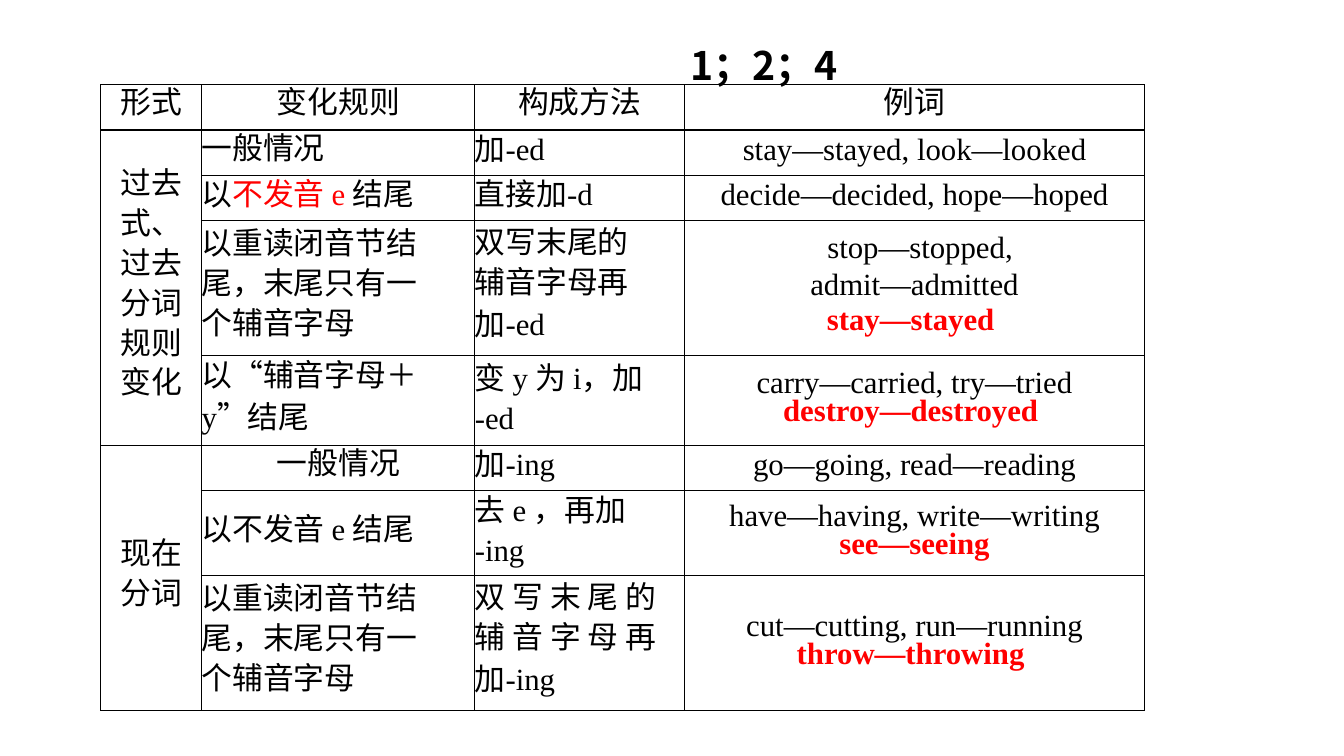
from lxml import etree
from pptx import Presentation
from pptx.dml.color import RGBColor
from pptx.enum.text import MSO_ANCHOR, MSO_AUTO_SIZE, PP_ALIGN
from pptx.oxml.ns import qn
from pptx.util import Inches, Pt

LEFT, CENTER = PP_ALIGN.LEFT, PP_ALIGN.CENTER
MIDDLE = MSO_ANCHOR.MIDDLE
GROW = MSO_AUTO_SIZE.SHAPE_TO_FIT_TEXT
BLACK, RED = RGBColor(0, 0, 0), RGBColor(255, 0, 0)
LATIN, CHINESE, TAB_FONT = "Times New Roman", "Noto Sans CJK SC", "Arial"

TITLE = "1；2；4"
COLUMN_WIDTHS = [1, 2.71, 2.08, 4.56]
ROW_HEIGHTS = [0.45, 0.45, 0.45, 1.34, 0.89, 0.45, 0.84, 1.34]
FORM, RULE, METHOD, EXAMPLE = range(4)
TAB_STOP = 0.11
STRESSED = [("以重读闭音节结", 22), ("尾，末尾只有一", 28.5), ("个辅音字母", 28.5)]

# Each cell is a list of (line, line spacing in points); |bars| enclose red text.
ROWS = [
    [[("形式", 22)], [("变化规则", 22)], [("构成方法", 22)], [("例词", 22)]],
    [[("过去", 22), ("式、", 28.5), ("过去", 28.5), ("分词", 28.5),
      ("规则", 28.5), ("变化", 28.5)],
     [("一般情况", 22)], [("加-ed", 23.8)],
     [("stay—stayed, look—looked", 20)]],
    [None, [("以|不发音 e |结尾", 23.6)], [("直接加-d", 23.6)],
     [("decide—decided, hope—hoped", 20)]],
    [None, STRESSED,
     [("双写末尾的", 22), ("辅音字母再", 28.5), ("加-ed", 30.4)],
     [("\tstop—stopped,", 20), ("admit—admitted", 25.2),
      ("|stay—stayed |", 25.2)]],
    [None, [("以“辅音字母＋", 22), ("y”结尾", 30.2)],
     [("变 y 为 i，加", 23.6), ("-ed", 26.9)],
     [("carry—carried, try—tried", 20), ("|destroy—destroyed |", 20)]],
    [[("现在", 22), ("分词", 28.5)], [("一般情况", 22)],
     [("加-ing", 23.6)], [("go—going, read—reading", 20)]],
    [None, [("以不发音 e 结尾", 23.6)],
     [("去 e ，再加", 23.6), ("-ing", 26.9)],
     [("have—having, write—writing", 20), ("|see—seeing|", 20)]],
    [None, STRESSED,
     [("双 写 末 尾 的", 22), ("辅 音 字 母 再", 28.5), ("加-ing", 30.2)],
     [("cut—cutting, run—running", 20), ("|throw—throwing |", 20)]],
]
FORM_SPANS = [(1, 4), (5, 7)]
CENTERED_RULES = [0, 5]


def add_span(para, text, size=22, font=LATIN, color=BLACK, bold=False):
    """Add one formatted run to a paragraph."""
    span = para.add_run()
    span.text = text
    span.font.size, span.font.name, span.font.bold = Pt(size), font, bold
    span.font.color.rgb = color
    east_asian = etree.SubElement(span.font._element, qn("a:ea"))
    east_asian.set("typeface", CHINESE)


def add_tab(para):
    """Start a paragraph with a tab and its tab stop."""
    stops = etree.SubElement(para._p.get_or_add_pPr(), qn("a:tabLst"))
    etree.SubElement(stops, qn("a:tab"), pos=str(Inches(TAB_STOP)), algn="l")
    add_span(para, "\t", 28, TAB_FONT)


def set_borders(cell):
    """Give a cell black one-point lines on all four sides."""
    properties = cell._tc.get_or_add_tcPr()
    for side in ("lnL", "lnR", "lnT", "lnB"):
        line = etree.SubElement(properties, qn("a:" + side), w=str(Pt(1)))
        fill = etree.SubElement(line, qn("a:solidFill"))
        etree.SubElement(fill, qn("a:srgbClr"), val=str(BLACK))


def fill_cell(cell, lines, column, align):
    """Write the lines of a cell, one paragraph each."""
    frame = cell.text_frame
    for index, (text, spacing) in enumerate(lines):
        para = frame.add_paragraph() if index else frame.paragraphs[0]
        para.alignment, para.line_spacing = align, Pt(spacing)
        if text.startswith("\t"):
            add_tab(para)
        for part, piece in enumerate(text.strip("\t").split("|")):
            red = part % 2 == 1
            if piece:
                add_span(para, piece, color=RED if red else BLACK,
                         bold=red and column == EXAMPLE)


def add_verb_table(page):
    """Draw the table of verb forms."""
    table = page.shapes.add_table(
        len(ROWS), len(COLUMN_WIDTHS), Inches(1), Inches(0.84),
        Inches(sum(COLUMN_WIDTHS)), Inches(sum(ROW_HEIGHTS))).table
    table.first_row = table.horz_banding = False
    for column, width in zip(table.columns, COLUMN_WIDTHS):
        column.width = Inches(width)
    for row, height in zip(table.rows, ROW_HEIGHTS):
        row.height = Inches(height)
    for first, last in FORM_SPANS:
        table.cell(first, FORM).merge(table.cell(last, FORM))
    for row, cells in enumerate(ROWS):
        for column, lines in enumerate(cells):
            cell = table.cell(row, column)
            cell.margin_left = cell.margin_right = 0
            cell.margin_top = cell.margin_bottom = 0
            cell.vertical_anchor = MIDDLE
            set_borders(cell)
            cell.fill.background()
            centered = (row == 0 or column in (FORM, EXAMPLE)
                        or column == RULE and row in CENTERED_RULES)
            fill_cell(cell, lines or [], column, CENTER if centered else LEFT)


def add_title(page):
    """Place the answer numbers above the table."""
    box = page.shapes.add_textbox(
        Inches(6.75), Inches(0.36), Inches(2.78), Inches(0.57))
    box.text_frame.word_wrap = True
    box.text_frame.auto_size = GROW
    add_span(box.text_frame.paragraphs[0], TITLE, 28, CHINESE, bold=True)


deck = Presentation()
deck.slide_width, deck.slide_height = Inches(13.33), Inches(7.5)
page = deck.slides.add_slide(deck.slide_layouts[6])
add_verb_table(page)
add_title(page)
deck.save("out.pptx")
